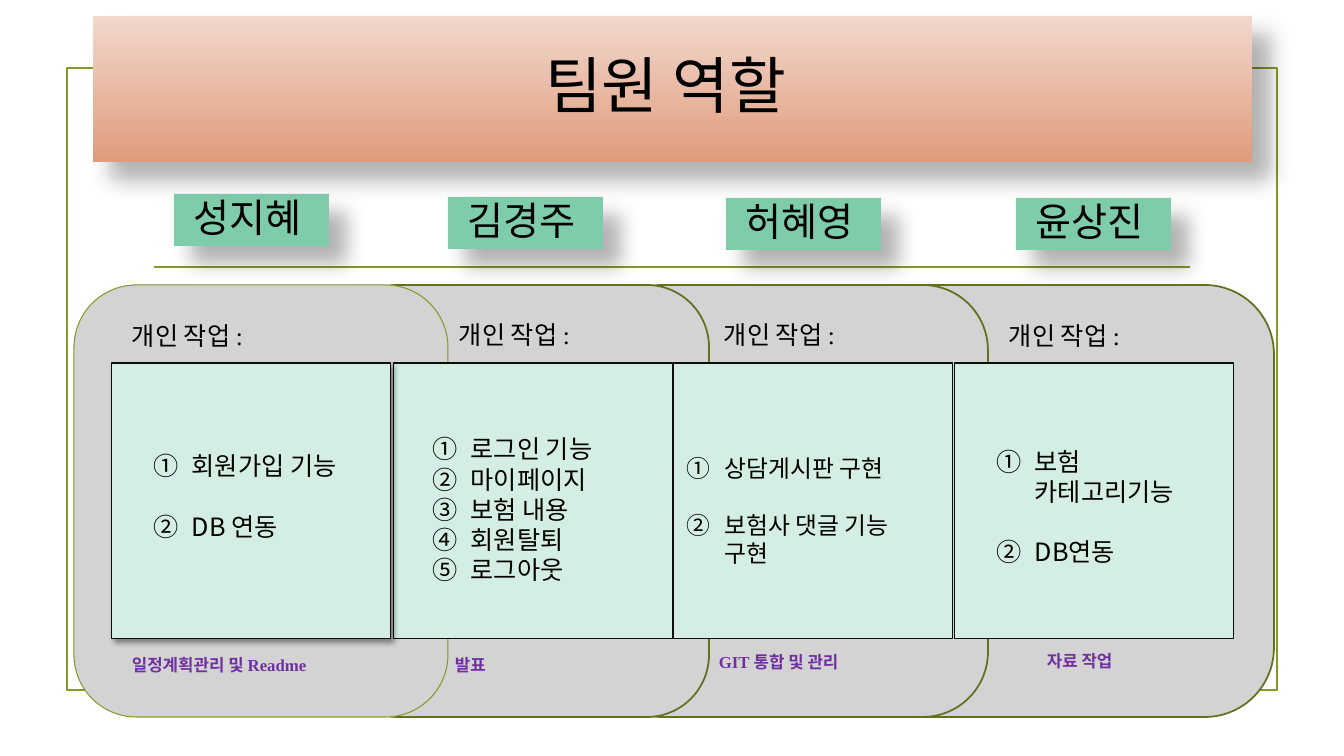
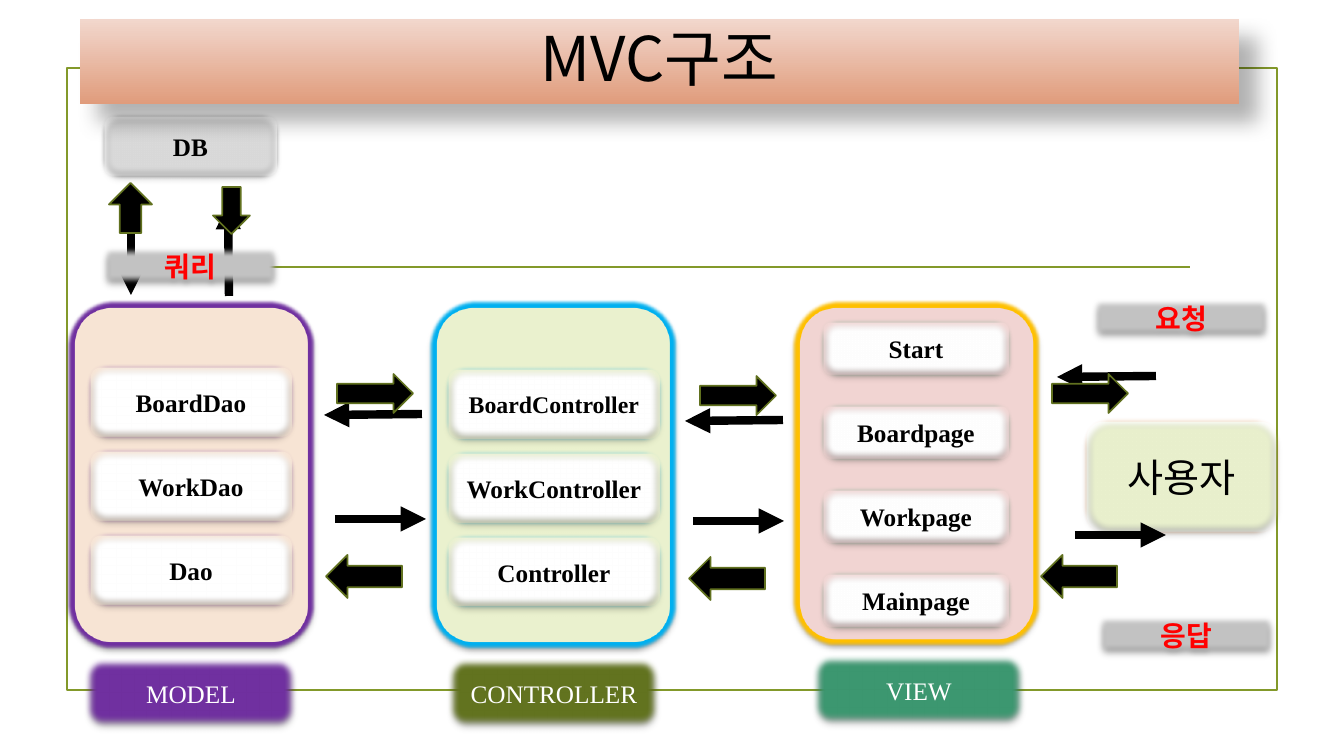
from pptx import Presentation
from pptx.dml.color import RGBColor
from pptx.enum.shapes import MSO_CONNECTOR, MSO_SHAPE
from pptx.enum.text import MSO_ANCHOR, PP_ALIGN
from pptx.oxml import parse_xml
from pptx.oxml.ns import nsdecls, qn
from pptx.util import Pt
from lxml.etree import SubElement

PX = 914400 / 100.8
SANS = "Noto Sans CJK KR"
SERIF = "Times New Roman"
HUES = {
    "black": "000000", "white": "FFFFFF", "olive": "83992A", "moss": "61711F",
    "peach": "F2D7CD", "rust": "E09C7C", "mint": "7FCCAB", "pale": "D4EEE3",
    "gray": "D3D3D3", "ink": "0D0D0D", "plum": "7030A0", "red": "FF0000",
    "ash": "DADADA", "coal": "212121", "stone": "C4C4C4", "cream": "F7E4D4",
    "lime": "EAF1CE", "rose": "F1D4D2", "sky": "00B0F0", "gold": "FFC000",
    "green": "3C9770", "fern": "62731F", "clay": "D97828",
}
RGB = {name: RGBColor.from_string(code) for name, code in HUES.items()}
SHADES = {"far": (30, 15, 18, 45), "near": (40, 4, 3, 90), "side": (40, 4, 3, 45)}
RECT, ROUND = MSO_SHAPE.RECTANGLE, MSO_SHAPE.ROUNDED_RECTANGLE


def box(page, kind, spot, fill=None, edge=None, thick=1.25, shade=None, soft=0):
    item = page.shapes.add_shape(kind, *[round(n * PX) for n in spot])
    item.shadow.inherit = False
    if fill == "fade":
        item.fill.gradient()
        item.fill.gradient_angle = 270
        for stop, hue, place in zip(item.fill.gradient_stops, ("peach", "rust"), (0, 1)):
            stop.color.rgb = RGB[hue]
            stop.position = place
    elif fill:
        item.fill.solid()
        item.fill.fore_color.rgb = RGB[fill]
    else:
        item.fill.background()
    if edge:
        item.line.color.rgb = RGB[edge]
        item.line.width = Pt(thick)
    else:
        item.line.fill.background()
    glow = item._element.spPr.find(qn("a:effectLst"))
    if shade:
        alpha, blur, gap, turn = SHADES[shade]
        glow.append(parse_xml(
            f'<a:outerShdw {nsdecls("a")} blurRad="{blur * 12700}" dist="{gap * 12700}" '
            f'dir="{turn * 60000}" algn="ctr" rotWithShape="0"><a:srgbClr val="000000">'
            f'<a:alpha val="{alpha * 1000}"/></a:srgbClr></a:outerShdw>'))
    if soft:
        SubElement(glow, qn("a:softEdge"), rad=str(round(soft * 12700)))
    return item


def write(item, lines, size, face=SERIF, hue="black", bold=False, align=PP_ALIGN.CENTER):
    frame = item.text_frame
    frame.word_wrap = True
    for i, line in enumerate(lines):
        para = frame.paragraphs[0] if i == 0 else frame.add_paragraph()
        para.text = line
        para.alignment = align
        para.font.size = Pt(size)
        para.font.bold = bold
        para.font.color.rgb = RGB[hue]
        para.font.name = face
        SubElement(para._p.pPr.find(qn("a:defRPr")), qn("a:ea"), typeface=SANS)
    return frame


deck = Presentation()
deck.slide_width, deck.slide_height = round(1344 * PX), round(756 * PX)
team, model = [deck.slides.add_slide(deck.slide_layouts[6]) for _ in range(2)]

for page in (team, model):
    box(page, RECT, (67, 68, 1210, 622), edge="olive")
    rule = page.shapes.add_connector(
        MSO_CONNECTOR.STRAIGHT, *[round(n * PX) for n in (154, 267, 1190, 267)])
    rule.line.color.rgb = RGB["olive"]
    rule.line.width = Pt(1.25)
    SubElement(rule._element.spPr, qn("a:effectLst"))

for name, x, y in (("성지혜 ", 174, 194), ("김경주 ", 448, 197),
                   ("허혜영 ", 726, 198), ("윤상진 ", 1016, 198)):
    tag = box(team, RECT, (x, y, 155, 52), "mint", shade="far")
    write(tag, [name], 28, SANS).paragraphs[0].line_spacing = 0.9

for x, wide, edge, thick in ((859, 415, "moss", 1.25), (597, 391, "moss", 1.25),
                             (336, 373, "moss", 1.25), (74, 374, "olive", 0.75)):
    box(team, ROUND, (x, 285, wide, 432), "gray", edge, thick)
for x, shade in ((394, None), (674, None), (955, None), (112, "side")):
    box(team, RECT, (x, 363, 279, 276), "pale", "ink", 0.75, shade)

notes = [
    (122, 315, "개인 작업 :", 18, "black", False),
    (449, 314, "개인 작업 :", 18, "black", False),
    (714, 314, "개인 작업 :", 18, "black", False),
    (999, 315, "개인 작업 :", 18, "black", False),
    (122, 650, "일정계획관리 및 Readme", 12, "plum", True),
    (445, 650, "발표", 12, "plum", True),
    (709, 647, "GIT 통합 및 관리", 12, "plum", True),
    (1037, 646, "자료 작업", 12, "plum", True),
]
for x, y, text, size, hue, bold in notes:
    note = team.shapes.add_textbox(*[round(n * PX) for n in (x, y, 259, 40)])
    write(note, [text], size, SERIF, hue, bold, PP_ALIGN.LEFT)

tasks = [
    (144, 446, 225, 18, 21.5, ["회원가입 기능", "DB 연동"]),
    (423, 429, 225, 18, 0, ["로그인 기능", "마이페이지", "보험 내용", "회원탈퇴", "로그아웃"]),
    (677, 449, 265, 17, 20.3, ["상담게시판 구현", "보험사 댓글 기능 구현"]),
    (987, 441, 225, 18, 21.5, ["보험 카테고리기능", "DB연동"]),
]
for x, y, wide, size, gap, lines in tasks:
    area = team.shapes.add_textbox(*[round(n * PX) for n in (x, y, wide, 160)])
    frame = write(area, lines, size, SANS, align=PP_ALIGN.LEFT)
    for i, para in enumerate(frame.paragraphs):
        para.line_spacing = Pt(size * 1.195)
        para.space_before = Pt(gap if i else 0)
        props = para._p.pPr
        props.set("marL", "342900")
        props.set("indent", "-342900")
        mark = SubElement(props, qn("a:buAutoNum"), type="circleNumDbPlain")
        props.find(qn("a:defRPr")).addprevious(mark)

store = box(model, ROUND, (103, 115, 175, 62), "ash", "coal", 3, "near", 5)
write(store, ["DB"], 18, bold=True)

parts = [
    (71, 341, "cream", "plum", "plum", 89, 204, 72, 366,
     ["BoardDao", "WorkDao", "Dao"], "MODEL", "plum", 85, 658),
    (433, 341, "lime", "sky", "sky", 447, 214, 72, 368,
     ["BoardController", "WorkController", "Controller"], "CONTROLLER", "fern", 448, 658),
    (796, 338, "rose", "gold", "green", 822, 188, 55, 321,
     ["Start", "Boardpage", "Workpage", "Mainpage"], "VIEW", "green", 813, 655),
]
for left, high, fill, edge, trim, x, wide, tall, top, names, role, hue, rx, ry in parts:
    box(model, ROUND, (left, 304, 240, high), fill, edge, 6, "near", 2.5)
    for i, name in enumerate(names):
        card = box(model, ROUND, (x, top + 84 * i, wide, tall), "white", trim, 3, "near", 5)
        write(card, [name], 17 if name == "BoardController" else 18, bold=True)
    sign = box(model, ROUND, (rx, ry, 212, 70), hue, shade="near", soft=5)
    write(sign, [role], 18, hue="white")

user = box(model, ROUND, (1085, 420, 193, 113), "lime", "clay", 3, "near", 5)
write(user, ["사용자"], 28)

for ends in ((783, 420, 685, 421), (422, 414, 324, 415), (693, 521, 784, 521),
             (335, 519, 426, 519), (229, 296, 228, 204), (131, 203, 131, 295),
             (1156, 376, 1057, 377), (1075, 535, 1166, 535)):
    flow = model.shapes.add_connector(
        MSO_CONNECTOR.STRAIGHT, *[round(n * PX) for n in ends])
    flow.line.color.rgb = RGB["black"]
    flow.line.width = Pt(6)
    SubElement(flow.line._get_or_add_ln(), qn("a:tailEnd"), type="triangle")
    SubElement(flow._element.spPr, qn("a:effectLst"))

for x, y, text in ((1090, 296, "요청"), (99, 244, "쿼리"), (1095, 613, "응답")):
    label = box(model, RECT, (x, y, 183, 44), "stone", shade="near", soft=5)
    write(label, [text], 20, hue="red", bold=True).vertical_anchor = MSO_ANCHOR.MIDDLE

blocks = [(MSO_SHAPE.DOWN_ARROW, (213, 187, 37, 47)), (MSO_SHAPE.UP_ARROW, (109, 183, 43, 50))]
for x, drop in ((337, 0), (700, 2), (1052, 0)):
    blocks.append((MSO_SHAPE.RIGHT_ARROW, (x, 374 + drop, 76, 39)))
    blocks.append((MSO_SHAPE.LEFT_ARROW, (x - 11, 555 + drop, 76, 43)))
for kind, spot in blocks:
    box(model, kind, spot, "black", "moss")

for page, text, spot in ((team, "팀원 역할 ", (93, 16, 1159, 146)),
                         (model, "MVC구조", (80, 19, 1159, 85))):
    band = box(page, RECT, spot, "fade", shade="far")
    write(band, [text], 44, SANS).paragraphs[0].line_spacing = 0.9

deck.save("out.pptx")
